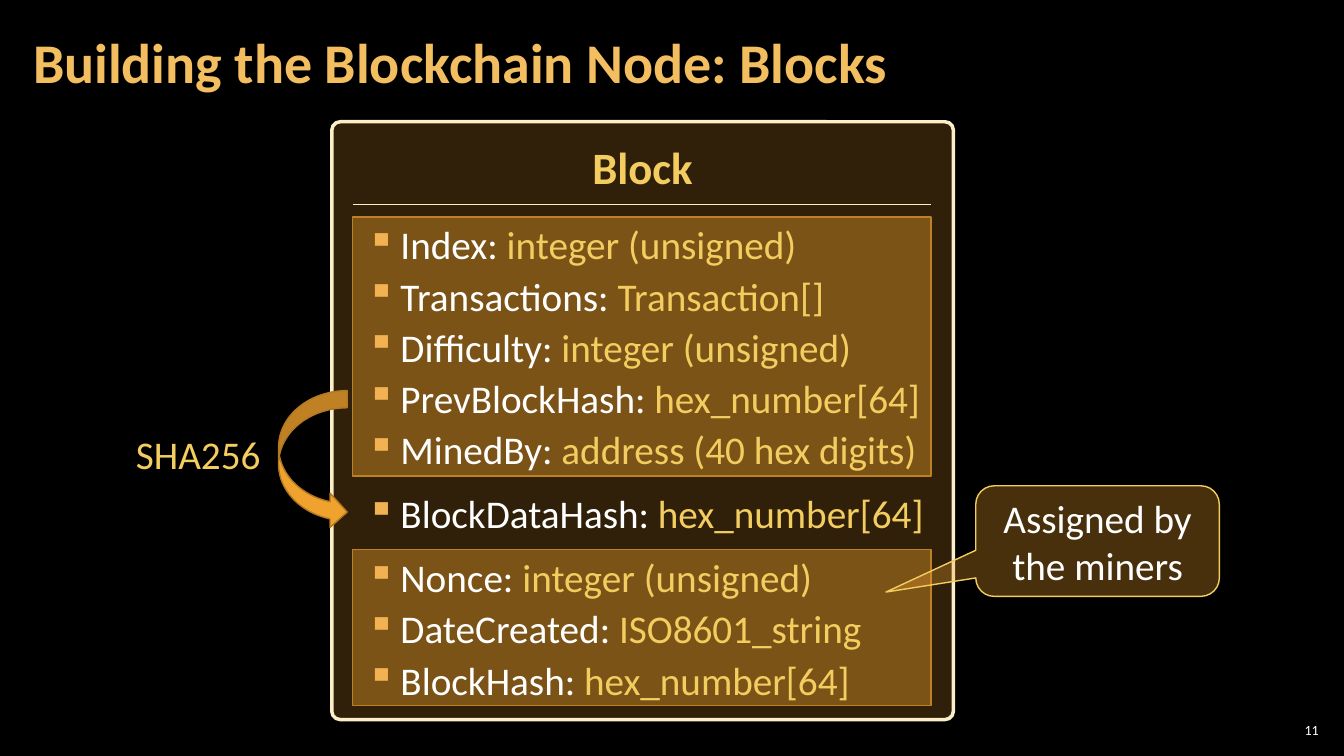
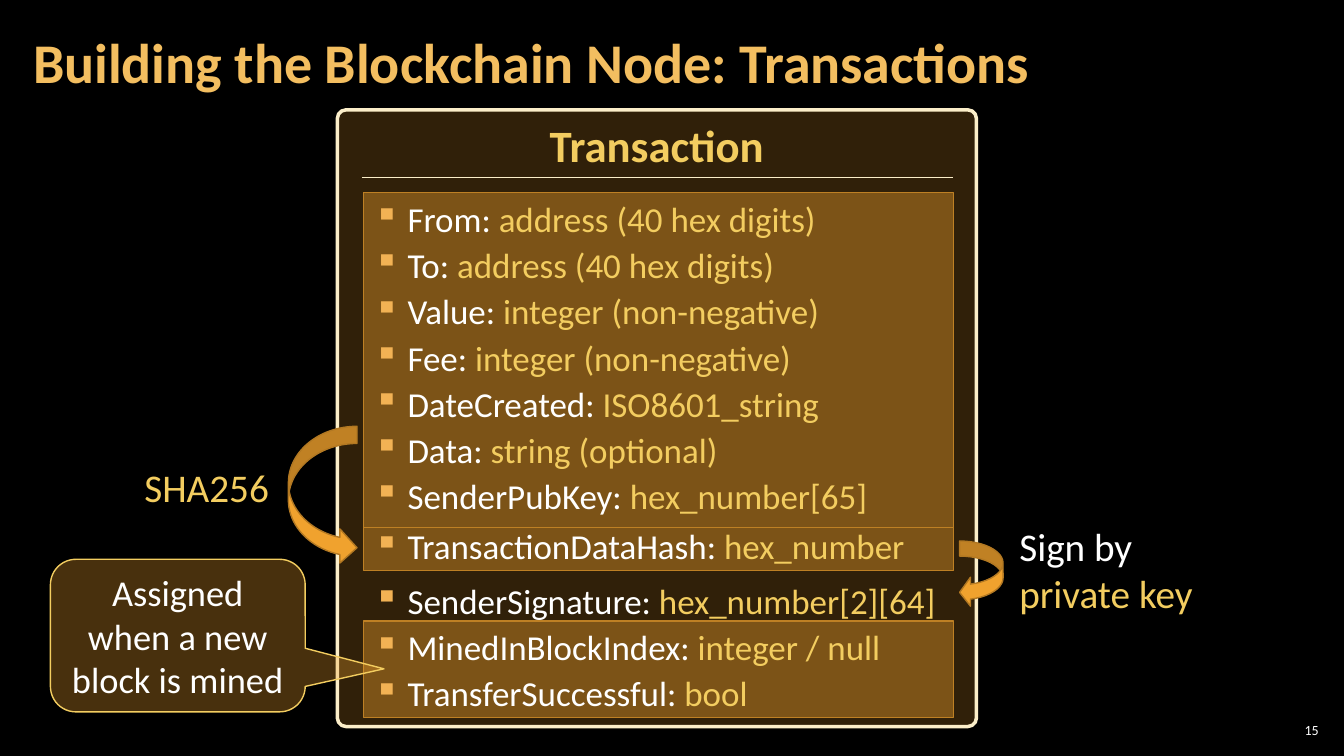
from lxml.etree import SubElement
from pptx import Presentation
from pptx.dml.color import RGBColor
from pptx.enum.shapes import MSO_CONNECTOR, MSO_SHAPE
from pptx.enum.text import MSO_ANCHOR, PP_ALIGN
from pptx.oxml.ns import qn
from pptx.util import Pt

FONT = "Calibri"
WHITE, BLACK = "FFFFFF", "000000"
GOLD, AMBER, BRONZE, CREAM = "F3CD60", "F0A22E", "B27822", "FBEEC9"
HEAD, BULLET = "F3BE60", "F2B254"


def color(code):
    return RGBColor.from_string(code)


def apply(item, values):
    for name, value in values.items():
        setattr(item, name, value)


def paint(shape, line, width=1, alpha=100):
    """Amber fill of the given opacity, with an outline."""
    shape.shadow.inherit = False
    shape.fill.solid()
    shape.fill.fore_color.rgb = color(AMBER)
    if alpha < 100:
        tint = shape.fill._xPr.find(qn("a:solidFill"))[0]
        SubElement(tint, qn("a:alpha"), val=str(alpha * 1000))
    shape.line.color.rgb = color(line)
    shape.line.width = Pt(width)


def write(par, runs, size, bold=False, **form):
    """Fill a paragraph with (text, colour) runs."""
    apply(par, form)
    for text, code in runs:
        run = par.add_run()
        run.text = text
        apply(run.font, {"name": FONT, "size": Pt(size), "bold": bold})
        run.font.color.rgb = color(code)


def label(slide, box, runs, size, bold=False, frame=None, **form):
    area = slide.shapes.add_textbox(*map(Pt, box)).text_frame
    apply(area, {"word_wrap": True, **(frame or {})})
    write(area.paragraphs[0], runs, size, bold, **form)
    return area


def shape(slide, kind, box, line, adjust=(), **look):
    item = slide.shapes.add_shape(kind, *map(Pt, box))
    paint(item, line, **look)
    for num, value in enumerate(adjust):
        item.adjustments[num] = value
    return item


def band(slide, box):
    shape(slide, MSO_SHAPE.RECTANGLE, box, BRONZE, alpha=40)


def panel(slide, box, text, rule, space=1.0):
    """Rounded frame with a heading and a rule (left, right, y) below it."""
    item = shape(slide, MSO_SHAPE.ROUNDED_RECTANGLE, box, CREAM, [0.014],
                 width=2.5, alpha=20)
    item.text_frame.vertical_anchor = MSO_ANCHOR.TOP
    write(item.text_frame.paragraphs[0], [(text, GOLD)], 32, True,
          alignment=PP_ALIGN.CENTER, line_spacing=space)
    left, right, y = map(Pt, rule)
    line = slide.shapes.add_connector(MSO_CONNECTOR.STRAIGHT, left, y, right, y)
    line.line.color.rgb = color(CREAM)
    line.line.width = Pt(1)
    SubElement(line._element.spPr, qn("a:effectLst"))


def fields(slide, box, rows, size):
    """Bulleted rows of (name, type, space before, space after)."""
    area = slide.shapes.add_textbox(*map(Pt, box)).text_frame
    area.word_wrap = True
    for num, (name, kind, before, after) in enumerate(rows):
        par = area.add_paragraph() if num else area.paragraphs[0]
        write(par, [(name + ": ", WHITE), (kind, GOLD)], size,
              space_before=Pt(before), space_after=Pt(after))
        props = par._p.get_or_add_pPr()
        props.set("marL", str(Pt(24)))
        props.set("indent", str(-Pt(24)))
        tint = SubElement(props, qn("a:buClr"))
        SubElement(tint, qn("a:srgbClr"), val=BULLET)
        SubElement(props, qn("a:buChar"), char="▪")


def row(name, kind, before=3, after=0):
    return name, kind, before, after


def arrow(slide, box, adjust=(), flip=False):
    item = shape(slide, MSO_SHAPE.CURVED_RIGHT_ARROW, box, BRONZE, adjust)
    if flip:
        item._element.spPr.xfrm.set("flipH", "1")


def callout(slide, box, text, size, tip):
    item = shape(slide, MSO_SHAPE.ROUNDED_RECTANGULAR_CALLOUT, box, GOLD,
                 [*tip, 0.167], alpha=30)
    apply(item.text_frame, {"word_wrap": True,
                            "vertical_anchor": MSO_ANCHOR.MIDDLE})
    write(item.text_frame.paragraphs[0], [(text, WHITE)], size,
          alignment=PP_ALIGN.CENTER)


def inset(side):
    return {"margin_left": Pt(side), "margin_right": Pt(side),
            "margin_top": Pt(3), "margin_bottom": Pt(3),
            "vertical_anchor": MSO_ANCHOR.MIDDLE}


def page(deck, topic, number):
    """Black slide with title and page number."""
    slide = deck.slides.add_slide(deck.slide_layouts[6])
    slide.background.fill.solid()
    slide.background.fill.fore_color.rgb = color(BLACK)
    label(slide, (15, 3, 754, 87),
          [("Building the Blockchain Node: " + topic, HEAD)], 40, True,
          inset(8.6), line_spacing=0.9)
    label(slide, (911, 514, 34, 15), [(str(number), WHITE)], 10,
          frame=inset(3), alignment=PP_ALIGN.RIGHT)
    return slide


def hashing(slide, left, top, text):
    """Curved arrow with the hash name on its left; text is its corner."""
    arrow(slide, (left, top, 49, 99))
    label(slide, (*text, 112, 41), [("SHA256", GOLD)], 28)


def blocks(deck):
    slide = page(deck, "Blocks", 11)
    for top, height in ((155, 185), (392.5, 111.5)):
        band(slide, (252, top, 413, height))
    panel(slide, (237, 87, 444, 427), "Block", (252, 665, 146), 1.2)
    fields(slide, (255, 154, 421, 355), [
        row("Index", "integer (unsigned)"),
        row("Transactions", "Transaction[]"),
        row("Difficulty", "integer (unsigned)"),
        row("PrevBlockHash", "hex_number[64]"),
        row("MinedBy", "address (40 hex digits)"),
        row("BlockDataHash", "hex_number[64]", 12),
        row("Nonce", "integer (unsigned)", 12),
        row("DateCreated", "ISO8601_string"),
        row("BlockHash", "hex_number[64]"),
    ], 28)
    hashing(slide, 199, 279, (90, 304))
    callout(slide, (697, 347, 174, 79), "Assigned by the miners", 28,
            (-0.869, 0.461))


def transfers(deck):
    slide = page(deck, "Transactions", 15)
    for top, height in ((443.5, 69), (377, 30.5), (137.5, 239.5)):
        band(slide, (259.5, top, 421.5, height))
    panel(slide, (241, 78.5, 456.5, 440.5), "Transaction", (258.5, 681, 127))
    fields(slide, (260, 137.5, 433, 380), [
        row("From", "address (40 hex digits)"),
        row("To", "address (40 hex digits)"),
        row("Value", "integer (non-negative)"),
        row("Fee", "integer (non-negative)"),
        row("DateCreated", "ISO8601_string"),
        row("Data", "string (optional)"),
        row("SenderPubKey", "hex_number[65]"),
        row("TransactionDataHash", "hex_number", 6, 6),
        row("SenderSignature", "hex_number[2][64]"),
        row("MinedInBlockIndex", "integer / null"),
        row("TransferSuccessful", "bool"),
    ], 25)
    hashing(slide, 206, 304.5, (96, 327.5))
    # Signing step on the right
    arrow(slide, (685.5, 386.5, 31, 47), [0.346, 0.667, 0.25], True)
    label(slide, (721, 369.5, 143, 75),
          [("Sign by", WHITE), (" private key", GOLD)], 28)
    callout(slide, (36, 399.5, 182, 109),
            "Assigned when a new block is mined", 26, (0.809, 0.218))


def main():
    deck = Presentation()
    apply(deck, {"slide_width": Pt(960), "slide_height": Pt(540)})
    blocks(deck)
    transfers(deck)
    deck.save("out.pptx")


if __name__ == "__main__":
    main()
